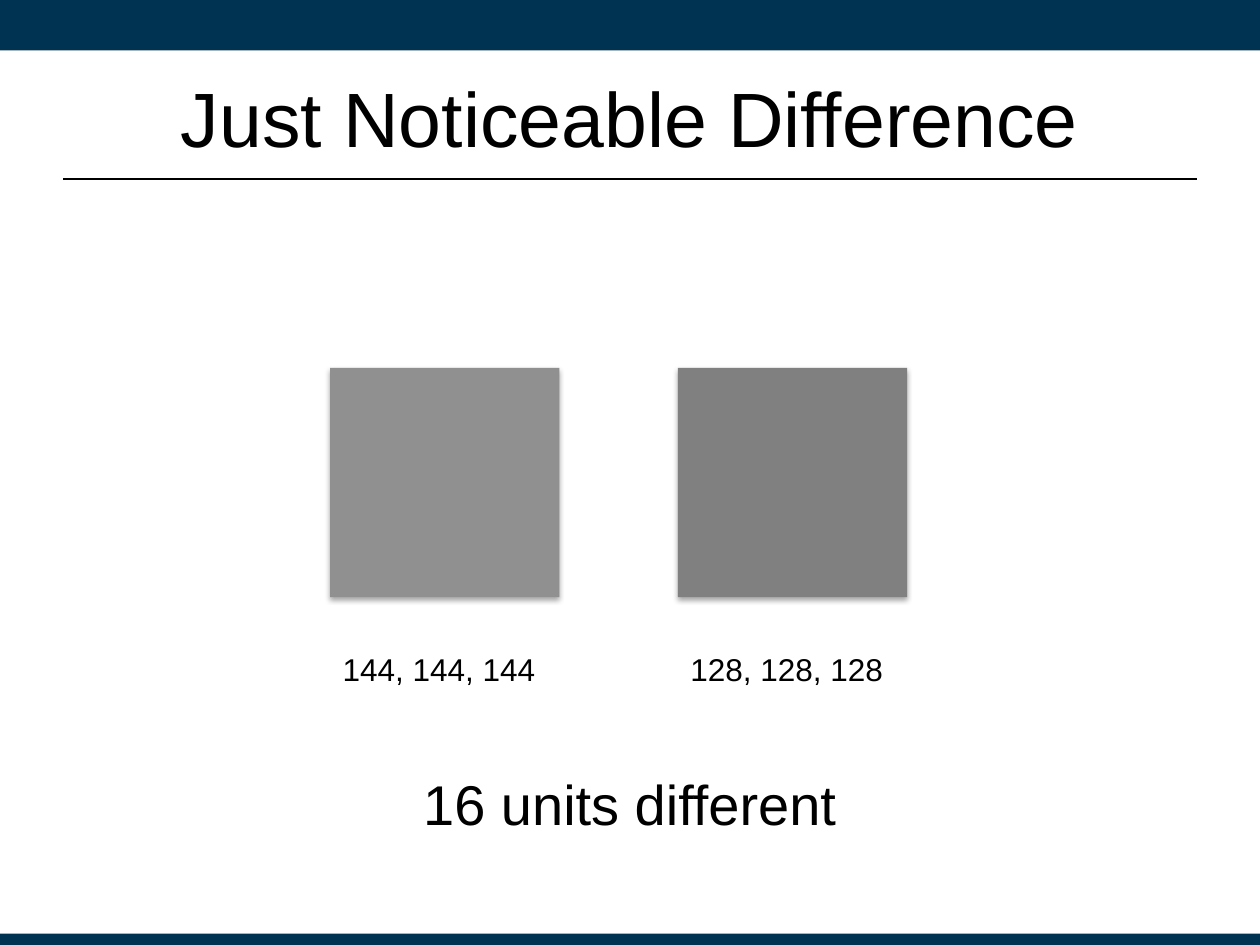
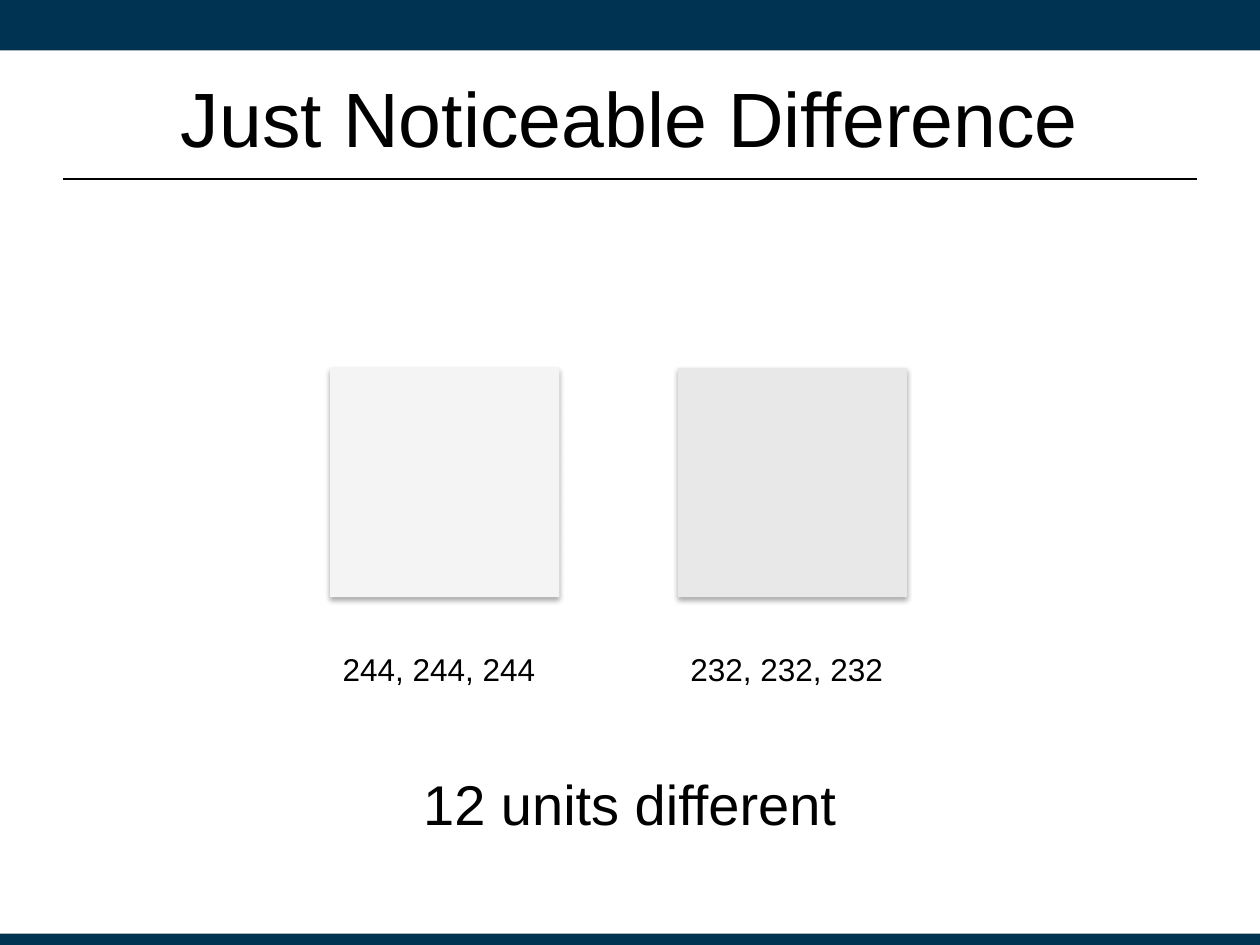
"""Build two slides that compare pairs of greys and name the difference in units."""
import lxml.etree
import pptx
import pptx.dml.color
import pptx.enum.shapes
import pptx.enum.text
import pptx.oxml.ns
import pptx.util

NAVY, BLACK = "003252", "000000"
COLUMNS, ROWS = 100, 75
SWATCH_SIZE, SWATCH_TOP, LABEL_TOP = 18.2, 29.2, 51.1
SWATCH_LEFTS = [26.2, 53.8]
BANDS = [(0, 4), (74.1, 0.9)]
GREY_PAIRS = [(144, 128), (244, 232)]


def color(hex_string):
    return pptx.dml.color.RGBColor.from_string(hex_string)


def write_text(shape, text, size=18, align="LEFT", anchor="TOP"):
    frame = shape.text_frame
    frame.text = text
    frame.word_wrap = True
    frame.auto_size = pptx.enum.text.MSO_AUTO_SIZE.NONE
    frame.vertical_anchor = getattr(pptx.enum.text.MSO_ANCHOR, anchor)
    paragraph = frame.paragraphs[0]
    paragraph.alignment = getattr(pptx.enum.text.PP_ALIGN, align)
    font = paragraph.runs[0].font
    font.name, font.size = "Arial", pptx.util.Pt(size)
    font.color.rgb = color(BLACK)


presentation = pptx.Presentation()
presentation.slide_width = pptx.util.Inches(10)
presentation.slide_height = pptx.util.Inches(7.5)
column = presentation.slide_width // COLUMNS
row = presentation.slide_height // ROWS

for greys in GREY_PAIRS:
    slide = presentation.slides.add_slide(presentation.slide_layouts[5])

    title = slide.shapes.title
    title.left, title.top = 5 * column, 3 * row
    title.width, title.height = 90 * column, int(12.5 * row)
    write_text(title, "Just Noticeable Difference", size=44, align="CENTER", anchor="MIDDLE")

    rule_top = int(14.2 * row)
    rule = slide.shapes.add_connector(
        pptx.enum.shapes.MSO_CONNECTOR.STRAIGHT, 5 * column, rule_top, 95 * column, rule_top)
    rule.line.color.rgb = color(BLACK)
    rule.line.width = pptx.util.Pt(1.25)
    lxml.etree.SubElement(rule._element.spPr, pptx.oxml.ns.qn("a:effectLst"))

    rectangles = [(0, top, COLUMNS, height, NAVY, False) for top, height in BANDS]
    rectangles += [(left, SWATCH_TOP, SWATCH_SIZE, SWATCH_SIZE, f"{grey:02X}" * 3, True)
                   for left, grey in zip(SWATCH_LEFTS, greys)]
    for left, top, width, height, fill, has_shadow in rectangles:
        rectangle = slide.shapes.add_shape(
            pptx.enum.shapes.MSO_SHAPE.RECTANGLE,
            int(left * column), int(top * row), int(width * column), int(height * row))
        rectangle.fill.solid()
        rectangle.fill.fore_color.rgb = color(fill)
        rectangle.line.fill.background()
        rectangle.shadow.inherit = False
        if has_shadow:
            effects = rectangle._element.spPr.find(pptx.oxml.ns.qn("a:effectLst"))
            shadow = lxml.etree.SubElement(
                effects, pptx.oxml.ns.qn("a:outerShdw"), blurRad=str(pptx.util.Pt(3.1)),
                dist=str(pptx.util.Pt(1.8)), dir="5400000", rotWithShape="0")
            shade = lxml.etree.SubElement(shadow, pptx.oxml.ns.qn("a:srgbClr"), val=BLACK)
            lxml.etree.SubElement(shade, pptx.oxml.ns.qn("a:alpha"), val="35000")

    for left, grey in zip(SWATCH_LEFTS, greys):
        label = slide.shapes.add_textbox(
            int(left * column), int(LABEL_TOP * row), int(SWATCH_SIZE * column), 4 * row)
        write_text(label, ", ".join([str(grey)] * 3))

    difference = slide.shapes.add_textbox(
        int(31.8 * column), int(60.6 * row), int(36.4 * column), int(6.4 * row))
    write_text(difference, f"{greys[0] - greys[1]} units different", size=32, align="CENTER")

presentation.save("out.pptx")
